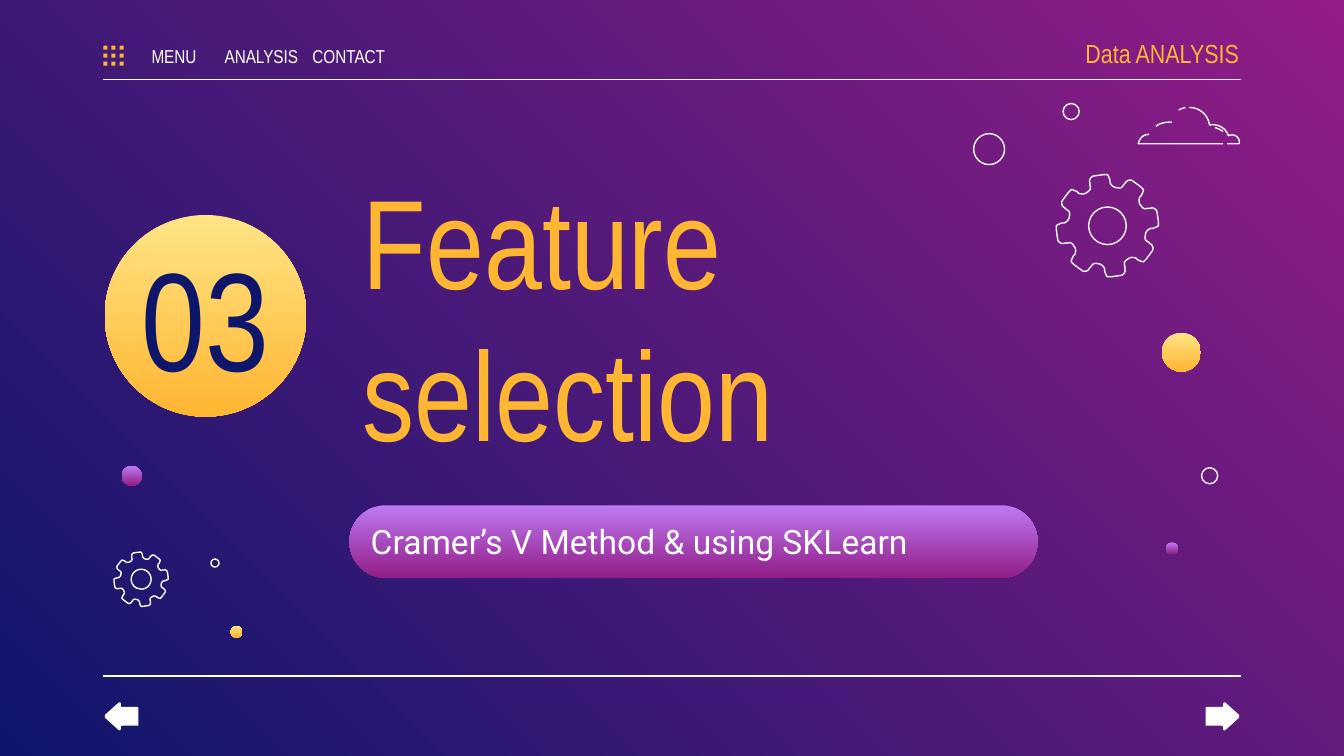
"""Build the section slide 'Feature selection' with gears, cloud and navigation."""
import math

from lxml import etree
from pptx import Presentation
from pptx.dml.color import RGBColor
from pptx.enum import shapes, text
from pptx.oxml.ns import qn
from pptx.util import Inches, Pt

WHITE = RGBColor(0xFF, 0xFF, 0xFF)
ORANGE = RGBColor(0xFF, 0xB6, 0x32)
YELLOW = RGBColor(0xFF, 0xE4, 0x85)
NAVY = RGBColor(0x0E, 0x16, 0x6C)
MAGENTA = RGBColor(0x92, 0x1D, 0x87)
LILAC = RGBColor(0xBE, 0x7A, 0xF3)
GOLD = (YELLOW, ORANGE)
PURPLE = (LILAC, MAGENTA)
NARROW, ROBOTO = "Arial Narrow", "Roboto"

SLIDE_WIDTH = 10
SLIDE_HEIGHT = SLIDE_WIDTH * 9 / 16
LEFT, RIGHT = 0.77, 9.23
RULE_HEIGHTS = (0.59, 5.03)
MENU = ("MENU", "ANALYSIS", "CONTACT")
MENU_LEFT, MENU_STEP = 1.01, 0.65
DOT_TOP, DOT_STEP, DOT_SIZE = 0.34, 0.06, 0.03

FILLED_CIRCLES = [
    (1.53, 2.35, 1.5, GOLD),
    (8.79, 2.62, 0.29, GOLD),
    (0.98, 3.54, 0.15, PURPLE),
    (1.76, 4.7, 0.09, GOLD),
    (8.72, 4.08, 0.09, PURPLE),
]
RINGS = [
    (7.97, 0.83, 0.12),
    (9, 3.54, 0.12),
    (7.36, 1.11, 0.23),
    (1.6, 4.19, 0.06),
]
GEARS = [(8.24, 1.68, 1), (1.05, 4.31, 0.53)]
TEETH, HUB = 8, 0.28
TOOTH = [
    [(0.32, 0.02)],
    [(0.34, 0.02)],
    [(0.36, 0.01), (0.37, 0.01), (0.38, 0)],
    [(0.38, -0.01), (0.38, -0.02), (0.38, -0.03)],
    [(0.37, -0.1)],
    [(0.37, -0.12), (0.34, -0.14), (0.32, -0.13)],
    [(0.3, -0.13)],
    [(0.28, -0.12), (0.26, -0.13), (0.25, -0.15)],
    [(0.24, -0.16), (0.23, -0.18), (0.24, -0.21)],
]
CLOUD = [
    [[(8.85, 0.8)], [(8.93, 0.8), (8.99, 0.86), (9, 0.93)],
     [(9.06, 0.92), (9.12, 0.95), (9.14, 1.01)],
     [(9.18, 0.99), (9.23, 1.02), (9.22, 1.07)], [(9.13, 1.07)]],
    [[(8.82, 0.8)], [(8.82, 0.8), (8.78, 0.81), (8.77, 0.82)]],
    [[(9.1, 1.07)], [(8.47, 1.07)], [(8.47, 1.07), (8.48, 1), (8.55, 1)]],
    [[(9.04, 0.95)], [(9.04, 0.95), (9.08, 0.96), (9.1, 0.98)]],
    [[(8.72, 0.91)], [(8.72, 0.91), (8.65, 0.9), (8.6, 0.94)]],
]
NEXT_ARROW = [
    [(9.12, 5.43)], [(9.22, 5.34)], [(9.22, 5.34), (9.22, 5.33), (9.22, 5.32)],
    [(9.12, 5.23)], [(9.11, 5.22), (9.1, 5.23), (9.1, 5.24)],
    [(9.1, 5.25)], [(9.1, 5.26), (9.1, 5.26), (9.09, 5.26)],
    [(8.98, 5.26)], [(8.97, 5.26), (8.97, 5.27), (8.97, 5.27)],
    [(8.97, 5.39)], [(8.97, 5.4), (8.97, 5.4), (8.98, 5.4)],
    [(9.09, 5.4)], [(9.1, 5.4), (9.1, 5.41), (9.1, 5.41)],
    [(9.1, 5.42)], [(9.1, 5.43), (9.11, 5.44), (9.12, 5.43)],
]


def flatten(segments, steps=8):
    points = []
    for segment in segments:
        if len(segment) == 1:
            points += segment
            continue
        corners = [points[-1], *segment]
        for step in range(1, steps + 1):
            t = step / steps
            weights = ((1 - t) ** 3, 3 * t * (1 - t) ** 2, 3 * t * t * (1 - t), t ** 3)
            points.append(tuple(sum(w * corner[axis] for w, corner in zip(weights, corners))
                                for axis in (0, 1)))
    return points


def paint_gradient(fill, colors, angle=270):
    fill.gradient()
    fill.gradient_angle = angle
    for stop, color in zip(fill.gradient_stops, colors):
        stop.color.rgb = color


def paint(shape, fill=None, line=None):
    shape.shadow.inherit = False
    if fill is None:
        shape.fill.background()
    elif isinstance(fill, RGBColor):
        shape.fill.solid()
        shape.fill.fore_color.rgb = fill
    else:
        paint_gradient(shape.fill, fill)
    if line is None:
        shape.line.fill.background()
    else:
        shape.line.color.rgb = line
        shape.line.width = Pt(0.75)


def add_preset(slide, kind, box, **style):
    shape = slide.shapes.add_shape(kind, *map(Inches, box))
    paint(shape, **style)
    return shape


def add_circle(slide, x, y, size, **style):
    add_preset(slide, shapes.MSO_SHAPE.OVAL, (x - size / 2, y - size / 2, size, size), **style)


def add_outline(slide, points, close=True, **style):
    start, *others = [(Inches(x), Inches(y)) for x, y in points]
    builder = slide.shapes.build_freeform(*start, scale=1.0)
    builder.add_line_segments(others, close=close)
    paint(builder.convert_to_shape(), **style)


def add_gear(slide, x, y, scale):
    outline = []
    for tooth in range(TEETH):
        angle = -2 * math.pi * tooth / TEETH
        cos, sin = math.cos(angle), math.sin(angle)
        outline += [(x + scale * (px * cos - py * sin), y + scale * (px * sin + py * cos))
                    for px, py in flatten(TOOTH)]
    add_outline(slide, outline, line=WHITE)
    add_circle(slide, x, y, HUB * scale, line=WHITE)


def add_rule(slide, y):
    rule = slide.shapes.add_connector(shapes.MSO_CONNECTOR.STRAIGHT, Inches(LEFT), Inches(y),
                                      Inches(RIGHT), Inches(y))
    rule.line.color.rgb = WHITE
    rule.line.width = Pt(0.75)
    etree.SubElement(rule._element.spPr, qn("a:effectLst"))


def write(slide, words, box, size, color, font=NARROW, align=text.PP_ALIGN.LEFT,
          margins=(0.1, 0.1), shape=None):
    shape = shape or slide.shapes.add_textbox(0, 0, 0, 0)
    shape.left, shape.top, shape.width, shape.height = map(Inches, box)
    frame = shape.text_frame
    frame.word_wrap = True
    frame.auto_size = text.MSO_AUTO_SIZE.NONE
    frame.vertical_anchor = text.MSO_ANCHOR.MIDDLE
    frame.margin_left, frame.margin_right = map(Inches, margins)
    frame.margin_top = frame.margin_bottom = Inches(0.1)
    paragraph = frame.paragraphs[0]
    paragraph.alignment = align
    run = paragraph.add_run()
    run.text = words
    run.font.name, run.font.size = font, Pt(size)
    run.font.color.rgb = color


def main():
    presentation = Presentation()
    presentation.slide_width = Inches(SLIDE_WIDTH)
    presentation.slide_height = Inches(SLIDE_HEIGHT)
    slide = presentation.slides.add_slide(presentation.slide_layouts[5])
    paint_gradient(slide.background.fill, (MAGENTA, NAVY), angle=225)

    for y in RULE_HEIGHTS:
        add_rule(slide, y)
    pill = add_preset(slide, shapes.MSO_SHAPE.ROUNDED_RECTANGLE, (2.6, 3.76, 5.12, 0.54),
                      fill=PURPLE)
    pill.adjustments[0] = 0.5
    for x, y, size, colors in FILLED_CIRCLES:
        add_circle(slide, x, y, size, fill=colors)
    for x, y, size in RINGS:
        add_circle(slide, x, y, size, line=WHITE)
    for gear in GEARS:
        add_gear(slide, *gear)
    for stroke in CLOUD:
        add_outline(slide, flatten(stroke), close=False, line=WHITE)
    arrow = flatten(NEXT_ARROW)
    add_outline(slide, arrow, fill=WHITE)
    add_outline(slide, [(SLIDE_WIDTH - x, y) for x, y in arrow], fill=WHITE)
    for column in range(3):
        for row in range(3):
            add_preset(slide, shapes.MSO_SHAPE.RECTANGLE,
                       (LEFT + column * DOT_STEP, DOT_TOP + row * DOT_STEP, DOT_SIZE, DOT_SIZE),
                       fill=ORANGE)

    write(slide, "Feature selection", (2.6, 1.39, 4.86, 1.9), 68, ORANGE,
          shape=slide.shapes.title)
    write(slide, "Cramer’s V Method & using SKLearn", (2.66, 3.86, 5.01, 0.33), 18, WHITE,
          font=ROBOTO)
    write(slide, "03", (0.78, 1.93, 1.5, 0.83), 75, NAVY, align=text.PP_ALIGN.CENTER)
    write(slide, "Data ANALYSIS", (7.72, 0.23, 1.5, 0.33), 14, ORANGE,
          align=text.PP_ALIGN.RIGHT, margins=(0.1, 0))
    for index, label in enumerate(MENU):
        write(slide, label, (MENU_LEFT + index * MENU_STEP, 0.3, 0.57, 0.23), 10, WHITE,
              align=text.PP_ALIGN.CENTER, margins=(0, 0))
    presentation.save("out.pptx")


if __name__ == "__main__":
    main()
